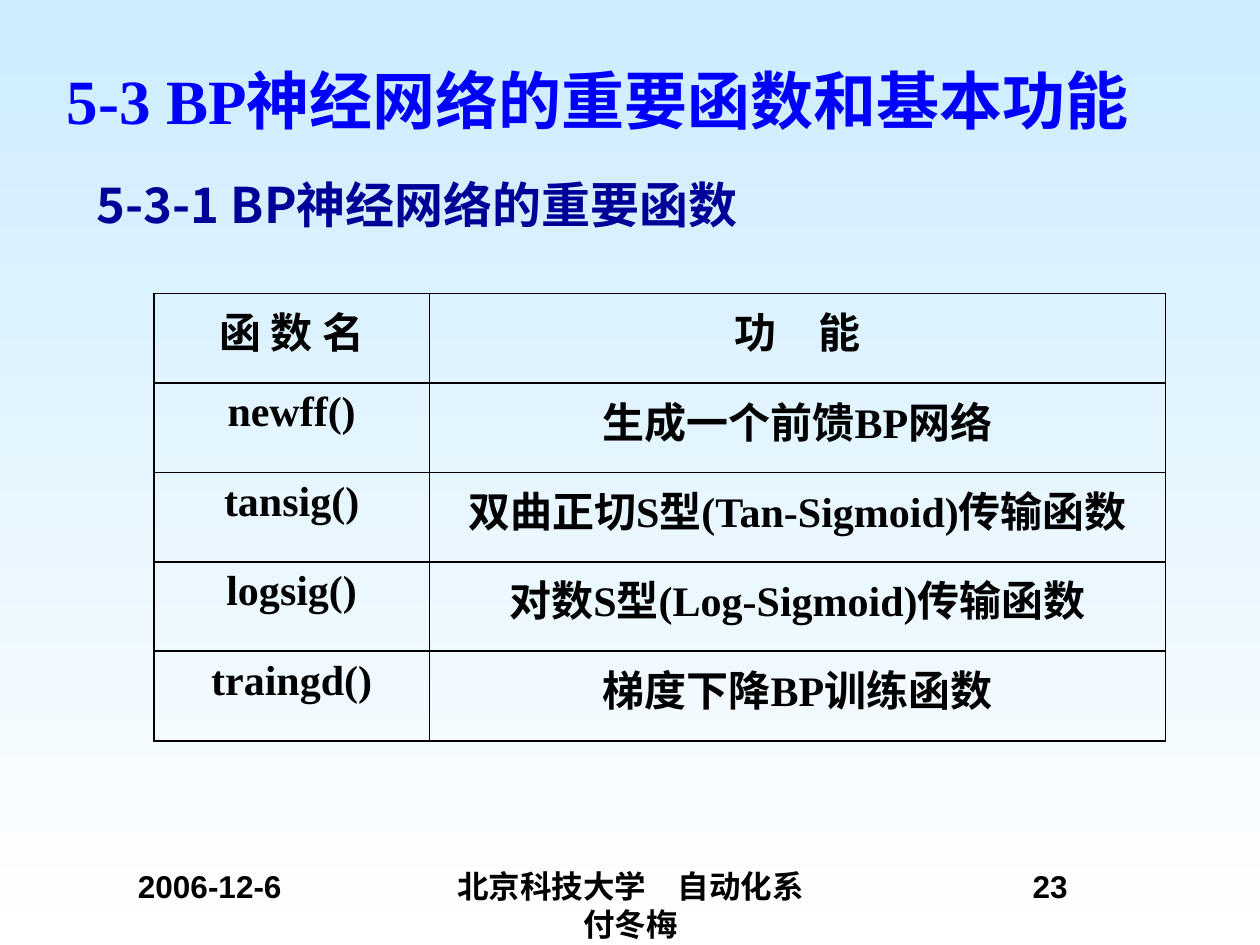
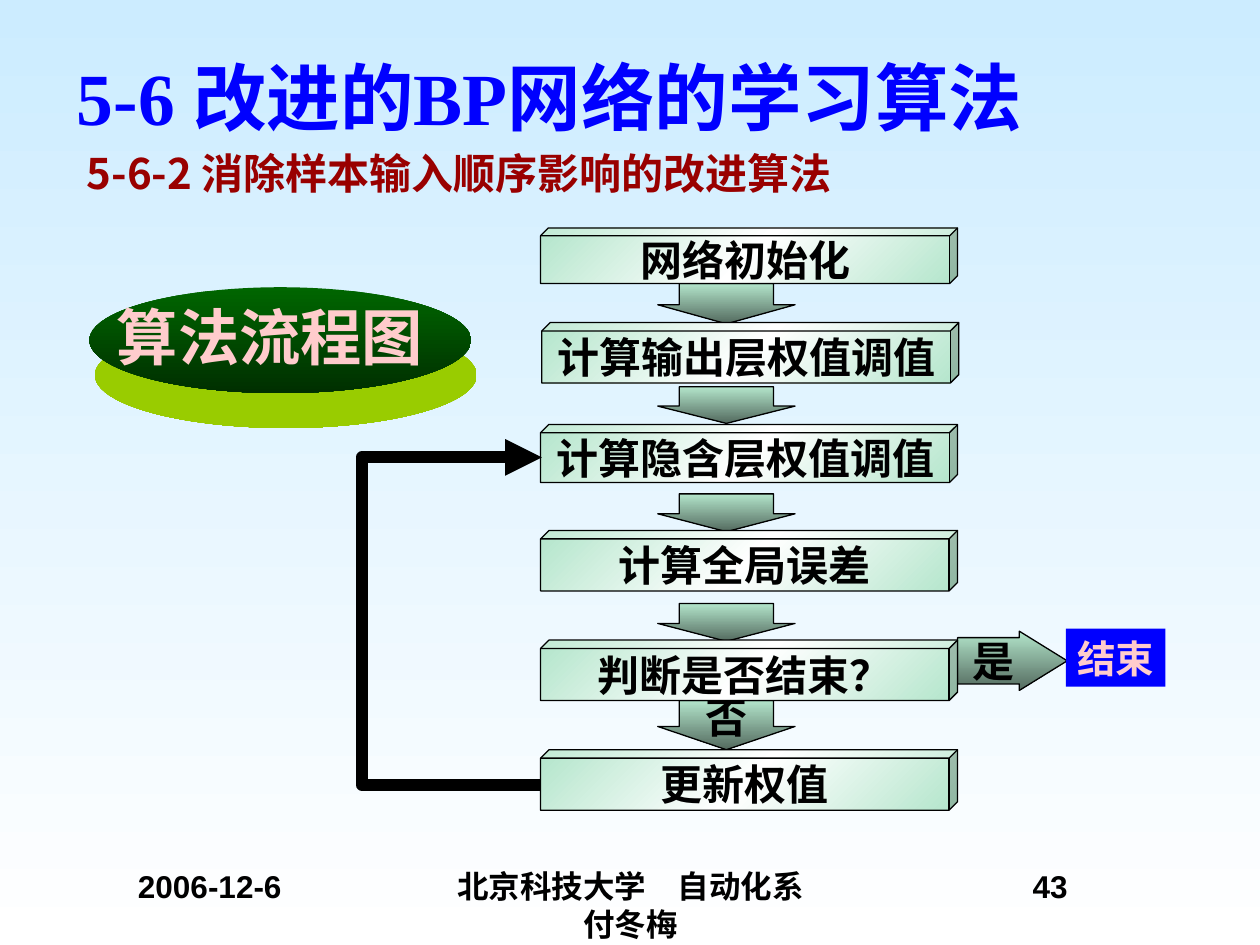
import dataclasses
import typing

import pptx
import pptx.dml.color
import pptx.enum.shapes
import pptx.enum.text
import pptx.oxml
import pptx.oxml.ns
import pptx.slide
import pptx.util
from copy import deepcopy
from lxml import etree

Inches = pptx.util.Inches
Pt = pptx.util.Pt
qn = pptx.oxml.ns.qn
KIND = pptx.enum.shapes.MSO_SHAPE
ALIGN = pptx.enum.text.PP_ALIGN
ANCHOR = pptx.enum.text.MSO_ANCHOR

COLORS = {
    "sky": "CCECFF", "white": "FFFFFF", "black": "000000",
    "blue": "0000FF", "navy": "000099", "red": "990000",
    "pink": "FFCCCC", "mint": "B3E5CB", "moss": "536A5E",
    "green": "006600", "dark": "002F00", "lime": "99CC00",
}
SERIF, SANS, CJK = "Times New Roman", "Arial", "Noto Sans CJK JP"


@dataclasses.dataclass(frozen=True)
class Box:
    left: float
    top: float
    width: float
    height: float

    def emu(self) -> list[int]:
        return [Inches(v) for v in dataclasses.astuple(self)]


@dataclasses.dataclass(frozen=True)
class Step:
    text: str
    top: float
    height: float
    left: float = 4.29


@dataclasses.dataclass(frozen=True)
class Arrow:
    box: Box
    kind: typing.Any = KIND.DOWN_ARROW
    adjust: tuple[float, float] = (0.687, 0.473)
    text: str = ""


DATE = Box(0.5, 6.83, 2.33, 0.5)
SCHOOL = Box(3.42, 6.83, 3.17, 0.5)
NUMBER = Box(7.17, 6.83, 2.33, 0.5)

ROWS = [
    ("函 数 名", "功　能"),
    ("newff()", "生成一个前馈BP网络"),
    ("tansig()", "双曲正切S型(Tan-Sigmoid)传输函数"),
    ("logsig()", "对数S型(Log-Sigmoid)传输函数"),
    ("traingd()", "梯度下降BP训练函数"),
]
WIDTHS = (2.19, 5.84)

STEPS = [
    Step("网络初始化", 1.81, 0.44),
    Step("计算输出层权值调值", 2.56, 0.48, 4.3),
    Step("计算隐含层权值调值", 3.37, 0.46),
    Step("计算全局误差", 4.21, 0.48),
    Step("判断是否结束？", 5.08, 0.48),
    Step("更新权值", 5.95, 0.48),
]
DROPS = [(2.25, 0.32, ""), (3.07, 0.29, ""), (3.92, 0.3, ""),
         (4.79, 0.3, ""), (5.56, 0.39, "否")]
ARROWS = [Arrow(Box(5.22, top, 1.09, tall), text=word)
          for top, tall, word in DROPS]
ARROWS.append(Arrow(Box(7.6, 5.01, 0.87, 0.47), KIND.RIGHT_ARROW,
                    (0.781, 0.808), "是"))


def rgb(name: str) -> pptx.dml.color.RGBColor:
    return pptx.dml.color.RGBColor.from_string(COLORS[name])


def write(frame: typing.Any, text: str, *, size: float = 24,
          font: str = SERIF, color: str = "black",
          align: typing.Any = ALIGN.CENTER, anchor: typing.Any = ANCHOR.TOP,
          wrap: bool = True, spacing: float | None = None) -> None:
    frame.word_wrap = wrap
    frame.auto_size = pptx.enum.text.MSO_AUTO_SIZE.NONE
    frame.vertical_anchor = anchor
    fill_text(frame, text, size, font, color, align, spacing)


def fill_text(frame: typing.Any, text: str, size: float = 24,
              font: str = SERIF, color: str = "black",
              align: typing.Any = ALIGN.CENTER,
              spacing: float | None = None) -> None:
    """Set one bold paragraph, with a CJK font for East Asian letters."""
    frame.text = text
    para = frame.paragraphs[0]
    para.alignment = align
    para.line_spacing = spacing
    for run in para.runs:
        run.font.size = Pt(size)
        run.font.bold = True
        run.font.name = font
        run.font.color.rgb = rgb(color)
        latin = run.font._element.find(qn("a:latin"))
        latin.addnext(etree.Element(qn("a:ea"), typeface=CJK))


def label(slide: pptx.slide.Slide, box: Box, text: str,
          **style: typing.Any) -> None:
    write(slide.shapes.add_textbox(*box.emu()).text_frame, text, **style)


def blend(fill: typing.Any, root: typing.Any, names: tuple[str, ...],
          angle: float) -> None:
    """Spread the named colours evenly, with the angle clockwise."""
    fill.gradient()
    fill.gradient_angle = 360 - angle
    stops = root.find(".//" + qn("a:gsLst"))
    while len(stops) < len(names):
        stops.append(deepcopy(stops[-1]))
    for i, (stop, name) in enumerate(zip(fill.gradient_stops, names)):
        stop.color.rgb = rgb(name)
        stop.position = i / (len(names) - 1)


def draw(slide: pptx.slide.Slide, kind: typing.Any, box: Box,
         fills: tuple[str, ...], *, angle: float = 90, edge: bool = True,
         adjust: tuple[float, ...] = (), text: str = "",
         **style: typing.Any) -> typing.Any:
    shape = slide.shapes.add_shape(kind, *box.emu())
    shape.shadow.inherit = False
    for i, value in enumerate(adjust):
        shape.adjustments[i] = value
    if len(fills) > 1:
        blend(shape.fill, shape.element, fills, angle)
    else:
        shape.fill.solid()
        shape.fill.fore_color.rgb = rgb(fills[0])
    if edge:
        shape.line.color.rgb = rgb("black")
        shape.line.width = Pt(0.75)
    else:
        shape.line.fill.background()
    if text:
        write(shape.text_frame, text, anchor=ANCHOR.MIDDLE, wrap=False,
              **style)
    return shape


def start(deck: typing.Any, title: str, box: Box, size: float,
          number: int) -> pptx.slide.Slide:
    """Add a slide with the shared background, title and footer."""
    slide = deck.slides.add_slide(deck.slide_layouts[5])
    blend(slide.background.fill, slide.element, ("sky", "white"), 90)
    head = slide.shapes.title
    head.left, head.top, head.width, head.height = box.emu()
    write(head.text_frame, title, size=size, color="blue", align=ALIGN.LEFT)
    for place, text in ((DATE, "2006-12-6"),
                        (SCHOOL, "北京科技大学　自动化系\v付冬梅"),
                        (NUMBER, str(number))):
        label(slide, place, text, size=18, font=SANS)
    return slide


def rule(cell: typing.Any) -> None:
    """Border a cell on all four sides."""
    props = cell._tc.get_or_add_tcPr()
    for side in ("lnL", "lnR", "lnT", "lnB"):
        line = etree.SubElement(props, qn("a:" + side), w=str(Pt(1.08)))
        solid = etree.SubElement(line, qn("a:solidFill"))
        etree.SubElement(solid, qn("a:srgbClr"), val=COLORS["black"])


def add_grid(slide: pptx.slide.Slide) -> None:
    box = Box(1.22, 2.33, sum(WIDTHS), 0.71 * len(ROWS))
    table = slide.shapes.add_table(len(ROWS), len(WIDTHS), *box.emu()).table
    table.first_row = table.horz_banding = False
    for column, width in zip(table.columns, WIDTHS):
        column.width = Inches(width)
    for r, row in enumerate(ROWS):
        table.rows[r].height = Inches(0.71)
        for c, text in enumerate(row):
            cell = table.cell(r, c)
            rule(cell)
            cell.fill.background()
            fill_text(cell.text_frame, text)


def add_badge(slide: pptx.slide.Slide) -> None:
    oval = draw(slide, KIND.OVAL, Box(0.71, 2.28, 3.03, 0.84),
                ("green", "dark"), edge=False)
    effects = oval.element.spPr.find(qn("a:effectLst"))
    shade = etree.SubElement(effects, qn("a:outerShdw"), blurRad="0",
                             dist=str(Pt(20.2)), dir=str(81 * 60000),
                             algn="ctr", rotWithShape="0")
    etree.SubElement(shade, qn("a:srgbClr"), val=COLORS["lime"])
    label(slide, Box(0.83, 2.38, 3.8, 0.58), "算法流程图", size=35,
          color="pink", align=ALIGN.LEFT, anchor=ANCHOR.MIDDLE)


def add_loop(slide: pptx.slide.Slide) -> None:
    """Lead from the last step back to the third, around the left side."""
    left, bend, span = 4.29, 2.85, 0.01
    loop = slide.shapes.add_connector(
        pptx.enum.shapes.MSO_CONNECTOR.ELBOW, Inches(left), Inches(3.63),
        Inches(left + span), Inches(6.23))
    loop.line.color.rgb = rgb("black")
    loop.line.width = Pt(7)
    props = loop.element.spPr
    frame = props.find(qn("a:xfrm"))
    frame.set("rot", str(180 * 60000))
    frame.set("flipH", "1")
    ratio = round((bend - left) / span * 100000)
    guides = props.find(qn("a:prstGeom")).find(qn("a:avLst"))
    etree.SubElement(guides, qn("a:gd"), name="adj1", fmla=f"val {ratio}")
    etree.SubElement(props.find(qn("a:ln")), qn("a:tailEnd"), type="triangle")
    etree.SubElement(props, qn("a:effectLst"))


def add_flow(slide: pptx.slide.Slide) -> None:
    for arrow in ARROWS:
        draw(slide, arrow.kind, arrow.box, ("mint", "moss"),
             adjust=arrow.adjust, text=arrow.text)
    for step in STEPS:
        draw(slide, KIND.CUBE, Box(step.left, step.top, 3.31, step.height),
             ("mint", "white", "mint"), angle=45, adjust=(0.14,),
             text=step.text)
    draw(slide, KIND.RECTANGLE, Box(8.46, 4.99, 0.79, 0.46), ("blue",),
         edge=False, text="结束", size=22, color="pink")
    add_loop(slide)


def main() -> None:
    deck = pptx.Presentation()
    deck.slide_width, deck.slide_height = Inches(10), Inches(7.5)

    slide = start(deck, "5-3 BP神经网络的重要函数和基本功能",
                  Box(0.43, 0.44, 8.98, 1), 36, 23)
    add_grid(slide)
    label(slide, Box(0.67, 1.39, 7.95, 0.79), "5-3-1 BP神经网络的重要函数",
          size=28, font=CJK, color="navy", align=ALIGN.LEFT, spacing=0.9)

    slide = start(deck, "5-6 改进的BP网络的学习算法",
                  Box(0.51, 0.36, 8.27, 1), 42, 43)
    add_badge(slide)
    add_flow(slide)
    label(slide, Box(0.59, 1.12, 7.01, 0.5),
          "5-6-2 消除样本输入顺序影响的改进算法",
          font=CJK, color="red", align=ALIGN.LEFT)
    deck.save("out.pptx")


if __name__ == "__main__":
    main()
